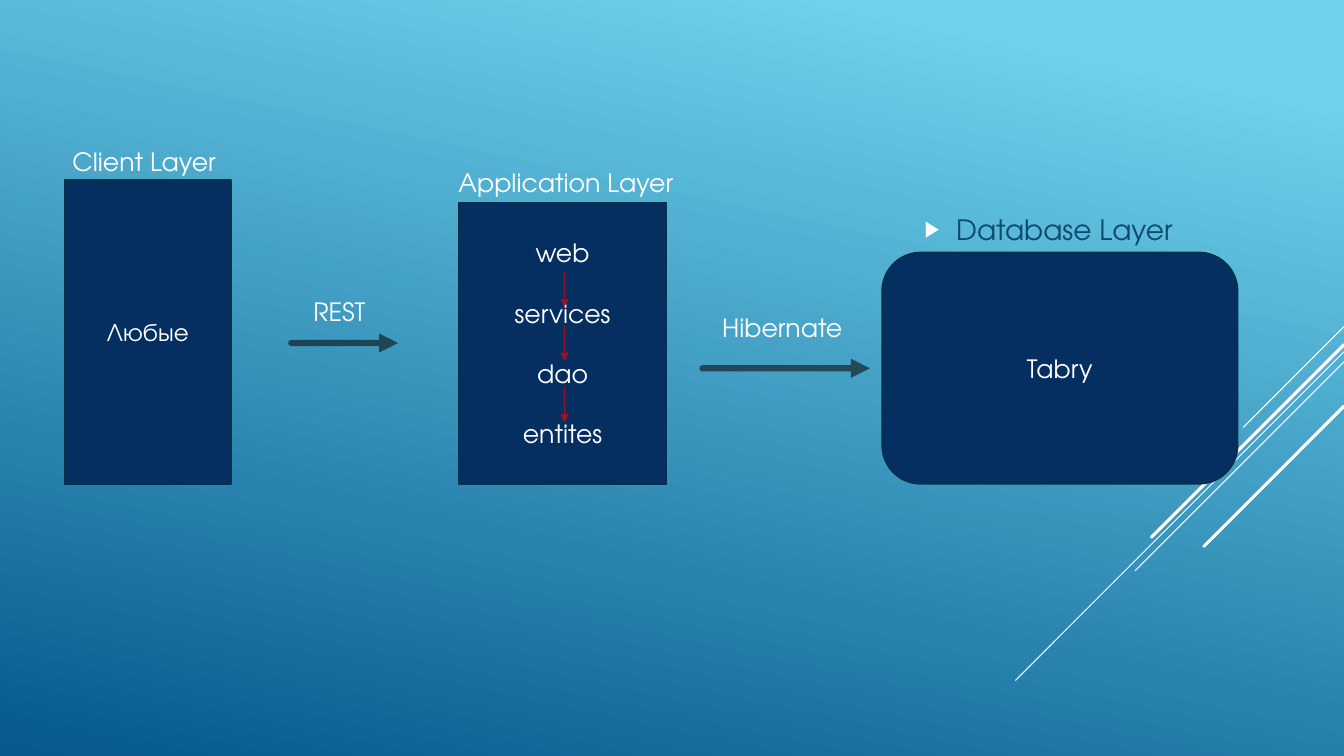
from lxml.etree import SubElement
from pptx import Presentation
from pptx.dml.color import RGBColor
from pptx.enum.shapes import MSO_CONNECTOR as Link, MSO_SHAPE as Form
from pptx.enum.text import MSO_ANCHOR as Anchor, PP_ALIGN as Align
from pptx.oxml.ns import qn
from pptx.util import Pt

FONT = "TeX Gyre Adventor"
WHITE = RGBColor(0xFF, 0xFF, 0xFF)
NAVY = RGBColor(0x05, 0x2F, 0x61)
EDGE = RGBColor(0x04, 0x31, 0x48)
BLUE = RGBColor(0x0F, 0x49, 0x6F)
RED = RGBColor(0xFF, 0x00, 0x00)
BLACK = RGBColor(0x0D, 0x0D, 0x0D)
SKY = RGBColor(0x6E, 0xD2, 0xEB)
DEEP = RGBColor(0x06, 0x58, 0x8E)

WIDE, HIGH = 960, 540
LABEL_H = 28.8
LINE_GAP = 21.5

# start height at the right edge, run to the lower left, weight
RAYS = [(233.3, 72, 0.75), (251.3, 234.7, 0.75), (258.5, 149.3, 0.75),
        (246.2, 137.5, 2.25), (290.2, 100.1, 2.25)]
# form, left, top, width, height, lines
LAYERS = [
    (Form.RECTANGLE, 327.6, 144.7, 148.5, 200.9, ["web", "services", "dao", "entites"]),
    (Form.RECTANGLE, 46.1, 128.5, 119.1, 217.1, ["Любые"]),
    (Form.ROUNDED_RECTANGLE, 630.1, 180.4, 253.9, 165.2, ["Tabry"]),
]
# text, left, top, width, format
LABELS = [
    ("Client Layer", 44.6, 101, 164, {}),
    ("Application Layer", 320.4, 116.2, 178, {}),
    ("Database Layer", 653.4, 149.2, 207.4, {"size": 20, "color": BLUE, "bullet": "▶"}),
    ("REST", 216.4, 208.1, 52, {"align": Align.CENTER, "wrap": False}),
    ("Hibernate", 508, 219.6, 101.5, {"align": Align.CENTER, "wrap": False}),
]
# left, right, height
FLOWS = [(208.1, 284.4, 245), (501.8, 621.4, 263.1)]
STEP_X, STEP_H = 403.2, 25.5
STEPS = [193.9, 232.4, 276.3]


def write(frame, lines, size=18, color=WHITE, align=Align.LEFT, wrap=True, bullet=None):
    frame.word_wrap = wrap
    frame.vertical_anchor = Anchor.MIDDLE
    for i, line in enumerate(lines):
        para = frame.add_paragraph() if i else frame.paragraphs[0]
        para.alignment = align
        if i:
            para.space_before = Pt(LINE_GAP)
        if bullet:
            mark(para, bullet)
        run = para.add_run()
        run.text = line
        run.font.name, run.font.size = FONT, Pt(size)
        run.font.color.rgb = color


def mark(para, sign):
    """Give the paragraph a white bullet and a hanging indent."""
    props = para._p.get_or_add_pPr()
    props.set("marL", str(Pt(22.5)))
    props.set("indent", str(-Pt(22.5)))
    tint = SubElement(props, qn("a:buClr"))
    SubElement(tint, qn("a:srgbClr"), val=str(WHITE))
    SubElement(props, qn("a:buSzPct"), val="80000")
    SubElement(props, qn("a:buFont"), typeface="Arial")
    SubElement(props, qn("a:buChar"), char=sign)


def draw(slide, x1, y1, x2, y2, color, weight, arrow=False):
    """Draw a line; an arrow is see-through and has a head at its end."""
    link = slide.shapes.add_connector(Link.STRAIGHT, Pt(x1), Pt(y1), Pt(x2), Pt(y2))
    link.line.color.rgb = color
    link.line.width = Pt(weight)
    ln = link.line._get_or_add_ln()
    if weight > 1:
        ln.set("cap", "rnd")
    if arrow:
        tint = ln.find(".//" + qn("a:srgbClr"))
        SubElement(tint, qn("a:alpha"), val="60000")
        SubElement(ln, qn("a:tailEnd"), type="triangle")
    SubElement(link._element.spPr, qn("a:effectLst"))


def main():
    deck = Presentation()
    deck.slide_width, deck.slide_height = Pt(WIDE), Pt(HIGH)
    slide = deck.slides.add_slide(deck.slide_layouts[6])

    back = slide.background.fill
    back.gradient()
    back.gradient_angle = 258
    for stop, (place, color) in zip(back.gradient_stops, [(0.1, SKY), (1, DEEP)]):
        stop.position = place
        stop.color.rgb = color

    for top, run, weight in RAYS:
        draw(slide, WIDE, top, WIDE - run, top + run, WHITE, weight)

    for form, left, top, width, height, lines in LAYERS:
        box = slide.shapes.add_shape(form, Pt(left), Pt(top), Pt(width), Pt(height))
        box.shadow.inherit = False
        box.fill.solid()
        box.fill.fore_color.rgb = NAVY
        box.line.color.rgb = EDGE
        box.line.width = Pt(1.25)
        write(box.text_frame, lines, align=Align.CENTER)

    for top in STEPS:
        draw(slide, STEP_X, top, STEP_X, top + STEP_H, RED, 0.75, arrow=True)
    for left, right, y in FLOWS:
        draw(slide, left, y, right, y, BLACK, 4.5, arrow=True)

    for text, left, top, width, style in LABELS:
        box = slide.shapes.add_textbox(Pt(left), Pt(top), Pt(width), Pt(LABEL_H))
        write(box.text_frame, [text], **style)

    deck.save("out.pptx")


if __name__ == "__main__":
    main()
